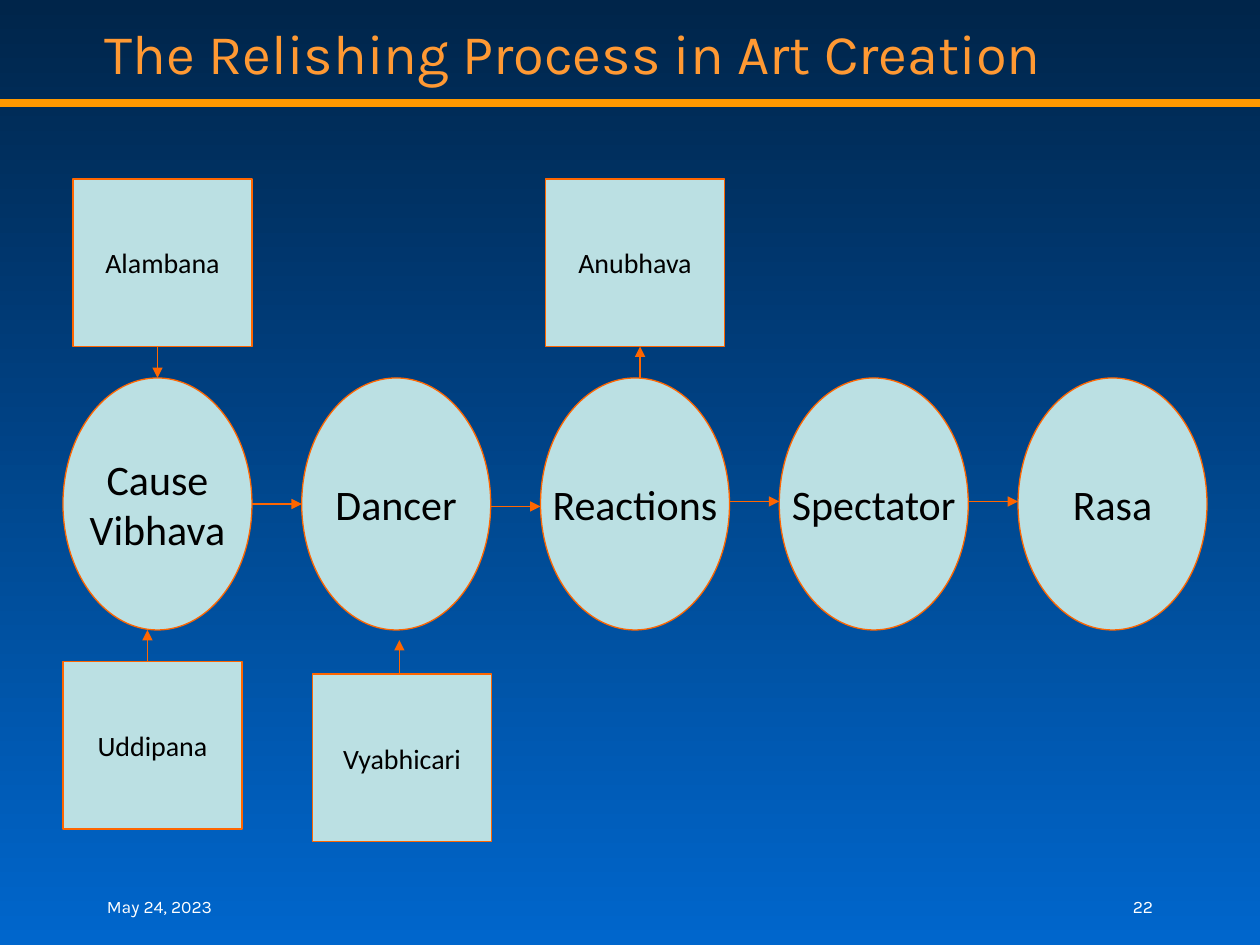
from lxml import etree
from pptx import Presentation
from pptx.dml.color import RGBColor
from pptx.enum.shapes import MSO_CONNECTOR, MSO_SHAPE
from pptx.enum.text import MSO_ANCHOR, MSO_AUTO_SIZE, PP_ALIGN
from pptx.oxml.ns import qn
from pptx.util import Inches, Pt

NIGHT = RGBColor(0x00, 0x25, 0x4A)
BLUE = RGBColor(0x00, 0x66, 0xCC)
AMBER = RGBColor(0xFF, 0x99, 0x00)
TITLE_ORANGE = RGBColor(0xFF, 0x99, 0x33)
ORANGE = RGBColor(0xFF, 0x66, 0x00)
PALE_TEAL = RGBColor(0xBB, 0xE0, 0xE3)
WHITE = RGBColor(0xFF, 0xFF, 0xFF)
BLACK = RGBColor(0x00, 0x00, 0x00)

STAGES = ["Cause\nVibhava", "Dancer", "Reactions", "Spectator", "Rasa"]
STAGE_LEFT, STAGE_TOP, STAGE_STEP = 0.5, 3, 1.895
STAGE_WIDTH, STAGE_HEIGHT = 1.5, 2
FLOW_HEIGHTS = [4, 4.02, 3.98, 3.98]  # one arrow after each stage but the last

FACTOR_SIZE = (1.42, 1.33)
FACTORS = [  # name, left, top
    ("Alambana", 0.58, 1.42),
    ("Anubhava", 4.33, 1.42),
    ("Vyabhicari", 2.48, 5.35),
    ("Uddipana", 0.5, 5.25),
]
FACTOR_ARROWS = [  # x, start y, end y
    (1.17, 5.25, 5),
    (1.25, 2.75, 3),
    (5.08, 3, 2.75),
    (3.17, 5.35, 5.08),
]


def paint_background(slide):
    fill = slide.background.fill
    fill.gradient()
    fill.gradient_angle = 270  # top to bottom
    for stop, color, position in zip(fill.gradient_stops, (NIGHT, BLUE), (0, 1)):
        stop.color.rgb = color
        stop.position = position


def write(frame, text, font_name, size, color, align, anchor):
    frame.text = text
    frame.auto_size = MSO_AUTO_SIZE.NONE
    frame.vertical_anchor = anchor
    for paragraph in frame.paragraphs:
        paragraph.alignment = align
        paragraph.font.name = font_name
        paragraph.font.size = Pt(size)
        paragraph.font.color.rgb = color


def add_title(slide, text):
    title = slide.shapes.title
    title.left, title.top = Inches(0.73), Inches(0.08)
    title.width, title.height = Inches(8.5), Inches(0.67)
    title.text_frame.word_wrap = True
    write(title.text_frame, text, "Karla", 32, TITLE_ORANGE,
          PP_ALIGN.LEFT, MSO_ANCHOR.MIDDLE)


def add_footer(slide, text, left, align):
    footer = slide.shapes.add_textbox(
        Inches(left), Inches(6.83), Inches(2.08), Inches(0.5))
    footer.text_frame.word_wrap = True
    write(footer.text_frame, text, "Karla", 10, WHITE, align, MSO_ANCHOR.BOTTOM)


def add_node(slide, kind, text, left, top, width, height, size):
    node = slide.shapes.add_shape(
        kind, Inches(left), Inches(top), Inches(width), Inches(height))
    node.shadow.inherit = False
    node.fill.solid()
    node.fill.fore_color.rgb = PALE_TEAL
    node.line.color.rgb = ORANGE
    node.line.width = Pt(0.75)
    node.text_frame.word_wrap = False
    write(node.text_frame, text, "Calibri", size, BLACK,
          PP_ALIGN.CENTER, MSO_ANCHOR.MIDDLE)


def add_line(slide, x1, y1, x2, y2, color, width):
    line = slide.shapes.add_connector(
        MSO_CONNECTOR.STRAIGHT, Inches(x1), Inches(y1), Inches(x2), Inches(y2))
    line.line.color.rgb = color
    line.line.width = Pt(width)
    etree.SubElement(line._element.spPr, qn("a:effectLst"))
    return line


def add_arrow(slide, x1, y1, x2, y2):
    arrow = add_line(slide, x1, y1, x2, y2, ORANGE, 0.75)
    etree.SubElement(arrow.line._get_or_add_ln(), qn("a:tailEnd"), type="triangle")


def main():
    prs = Presentation()
    prs.slide_width, prs.slide_height = Inches(10), Inches(7.5)
    slide = prs.slides.add_slide(prs.slide_layouts[5])

    # Background, heading and footer
    paint_background(slide)
    add_line(slide, 0, 0.82, 10, 0.82, AMBER, 4.5)
    add_title(slide, "The Relishing Process in Art Creation")
    add_footer(slide, "May 24, 2023", 0.75, PP_ALIGN.LEFT)
    add_footer(slide, "22", 7.17, PP_ALIGN.RIGHT)

    # Stages of the process
    stage_lefts = [STAGE_LEFT + i * STAGE_STEP for i in range(len(STAGES))]
    for stage, left in zip(STAGES, stage_lefts):
        add_node(slide, MSO_SHAPE.OVAL, stage, left, STAGE_TOP,
                 STAGE_WIDTH, STAGE_HEIGHT, 24)

    # Factors above and below the stages
    for factor, left, top in FACTORS:
        add_node(slide, MSO_SHAPE.RECTANGLE, factor, left, top, *FACTOR_SIZE, 16)

    # Arrows between factors and stages, then from stage to stage
    for x, start, end in FACTOR_ARROWS:
        add_arrow(slide, x, start, x, end)
    for left, next_left, y in zip(stage_lefts, stage_lefts[1:], FLOW_HEIGHTS):
        add_arrow(slide, left + STAGE_WIDTH, y, next_left, y)

    prs.save("out.pptx")


if __name__ == "__main__":
    main()
